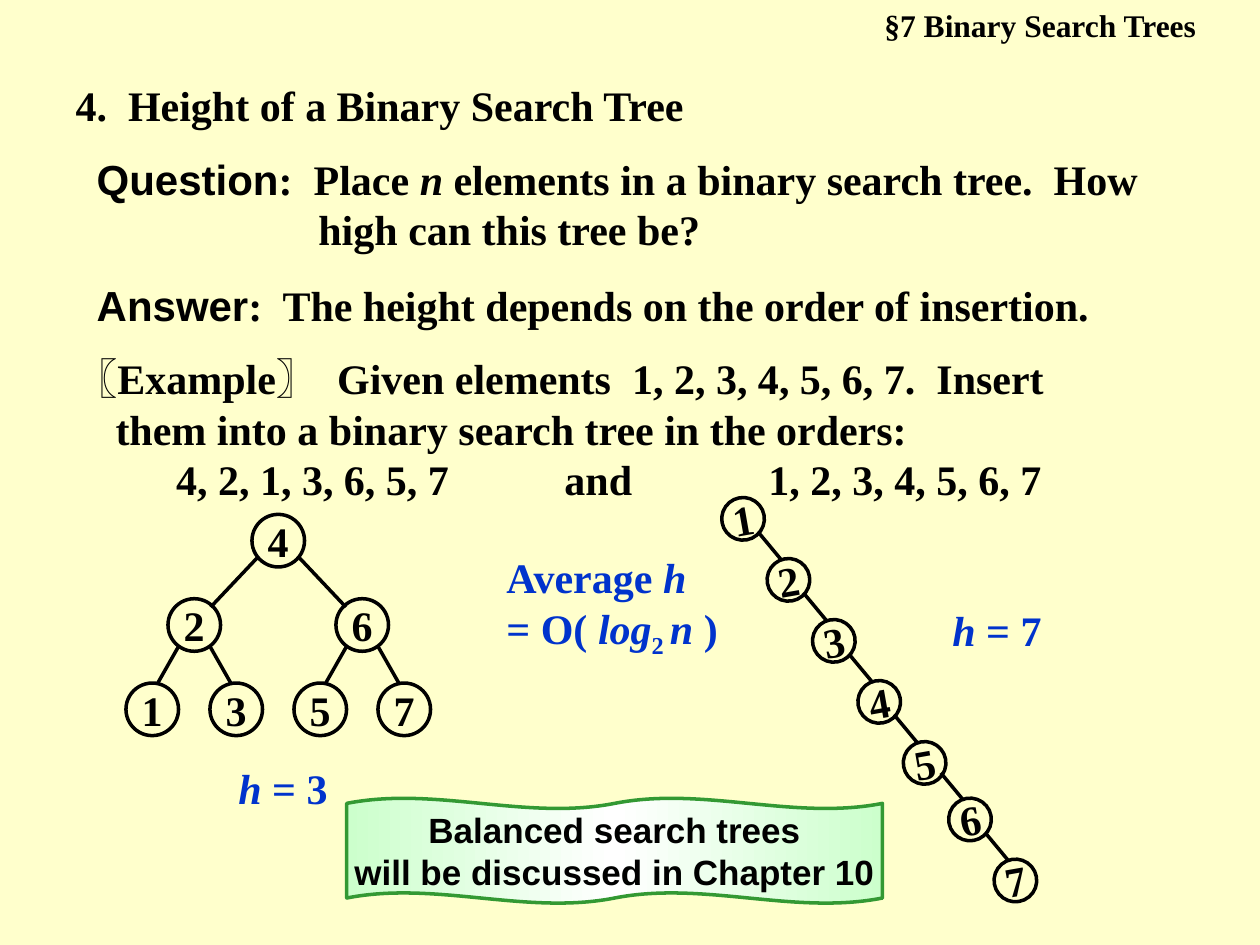
from copy import deepcopy

from lxml import etree
from pptx import Presentation
from pptx.dml.color import RGBColor
from pptx.enum.shapes import MSO_CONNECTOR, MSO_SHAPE
from pptx.enum.text import MSO_ANCHOR, MSO_AUTO_SIZE, PP_ALIGN
from pptx.oxml.ns import qn
from pptx.util import Cm, Pt

LEFT, CENTER = PP_ALIGN.LEFT, PP_ALIGN.CENTER
TOP, MIDDLE = MSO_ANCHOR.TOP, MSO_ANCHOR.MIDDLE
OVAL, WAVE = MSO_SHAPE.OVAL, MSO_SHAPE.DOUBLE_WAVE
STRAIGHT = MSO_CONNECTOR.STRAIGHT
NO_AUTOSIZE = MSO_AUTO_SIZE.NONE
SERIF, SANS = "Times New Roman", "Arial"
BLACK, BLUE, GREEN = "000000", "0033CC", "339933"
CREAM, MINT, WHITE = "FFFFCC", "CCFFCC", "FFFFFF"
LINE_WIDTH = Pt(2)

color = RGBColor.from_string

prs = Presentation()
prs.slide_width, prs.slide_height = Cm(25.4), Cm(19.05)
slide = prs.slides.add_slide(prs.slide_layouts[5])
shapes = slide.shapes
slide.background.fill.solid()
slide.background.fill.fore_color.rgb = color(CREAM)


def write(shape, paragraphs, size=24, font=SERIF, ink=BLACK, align=LEFT,
          anchor=TOP, wrap=True, hanging=0, tabs=()):
    """Fill a shape; a run is (text, marks): i italic, s subscript, a Arial."""
    frame = shape.text_frame
    frame.word_wrap = wrap
    frame.auto_size = NO_AUTOSIZE
    frame.vertical_anchor = anchor
    for number, runs in enumerate(paragraphs):
        paragraph = frame.add_paragraph() if number else frame.paragraphs[0]
        paragraph.alignment = align
        paragraph.space_before = Pt(0)
        props = paragraph._p.get_or_add_pPr()
        has_tabs = runs[0][0].startswith("\t")
        if hanging and not has_tabs:
            props.set("marL", str(Cm(hanging)))
            props.set("indent", str(-Cm(hanging)))
        if has_tabs:
            stops = etree.SubElement(props, qn("a:tabLst"))
            for stop in tabs:
                etree.SubElement(stops, qn("a:tab"), pos=str(Cm(stop)), algn="l")
        for text, marks in runs:
            run = paragraph.add_run()
            run.text = text
            run.font.size = Pt(size)
            run.font.name = SANS if "a" in marks else font
            run.font.bold = True
            run.font.italic = "i" in marks
            run.font.color.rgb = color(ink)
            if "s" in marks:
                run._r.get_or_add_rPr().set("baseline", "-25000")


def link(x1, y1, x2, y2):
    edge = shapes.add_connector(STRAIGHT, Cm(x1), Cm(y1), Cm(x2), Cm(y2))
    edge.line.color.rgb = color(BLACK)
    edge.line.width = LINE_WIDTH
    etree.SubElement(edge._element.spPr, qn("a:effectLst"))


# Heading
heading = shapes.title
heading.left, heading.top = Cm(1.27), Cm(1.48)
heading.width, heading.height = Cm(14.18), Cm(1.27)
write(heading, [[("4.  Height of a Binary Search Tree", "")]])

# Running text: left, top, width, height, paragraphs, format
question = [[("Question", "a"), (":  Place ", ""), ("n", "i"),
             (" elements in a binary search tree.  How high can this tree be?", "")]]
answer = [[("Answer", "a"), (":  The height depends on the order of insertion.", "")]]
example = [
    [("〖Example〗  Given elements  1, 2, 3, 4, 5, 6, 7.  Insert them into "
      "a binary search tree in the orders:", "")],
    [("\t4, 2, 1, 3, 6, 5, 7\tand\t1, 2, 3, 4, 5, 6, 7", "")],
]
average = [[("Average ", ""), ("h", "i")],
           [("= O( ", ""), ("log", "i"), ("2 ", "s"), ("n", "i"), (" )", "")]]
label = dict(ink=BLUE, align=CENTER)
for left, top, width, height, paragraphs, style in [
    (17.58, 0, 7.82, 1.02, [[("§7 Binary Search Trees", "")]], dict(size=18)),
    (1.7, 2.97, 22.02, 2.29, question, dict(hanging=4.47)),
    (1.7, 5.51, 22.02, 1.27, answer, dict(hanging=4.47)),
    (1.27, 6.99, 22.02, 3.3, example, dict(hanging=0.81, tabs=(2.03, 9.86, 13.97))),
    (9.96, 11, 5.28, 2.44, average, dict(ink=BLUE)),
    (3.38, 15.24, 4.65, 1.27, [[("h", "i"), (" = 3", "")]], label),
    (17.98, 12.07, 4.24, 1.27, [[("h", "i"), (" = 7", "")]], label),
]:
    box = shapes.add_textbox(Cm(left), Cm(top), Cm(width), Cm(height))
    write(box, paragraphs, **style)

# Balanced tree: key order sets the column, depth sets the row
NODE, COLUMN, ROW = 1.06, 2.54 / 3, 1.7
depth_of = {4: 0, 2: 1, 6: 1, 1: 2, 3: 2, 5: 2, 7: 2}
nodes = [(key, 2.54 + COLUMN * (key - 1), 10.37 + ROW * depth, NODE, 0)
         for key, depth in depth_of.items()]
corner = {key: (left, top) for key, left, top, _, _ in nodes}
# Per parent depth: parent dx, parent dy, child dx, child dy
edge_ends = [(0.41, 0.86, 0.33, 0.17), (0.31, 0.95, 0.11, 0)]
for parent, child in [(4, 2), (4, 6), (2, 1), (2, 3), (6, 5), (6, 7)]:
    side = 1 if child > parent else -1
    parent_dx, parent_dy, child_dx, child_dy = edge_ends[depth_of[parent]]
    (parent_x, parent_y), (child_x, child_y) = corner[parent], corner[child]
    link(parent_x + NODE / 2 + side * parent_dx, parent_y + parent_dy,
         child_x + NODE / 2 - side * child_dx, child_y + child_dy)

# Degenerate tree: one descending chain
for key in range(1, 8):
    left = 14.55 + 0.915 * (key - 1)
    top = 10.03 + 1.23 * (key - 1) - (0.09 if key > 5 else 0)
    nodes.append((key, left, top, 0.86, -10))
    if key > 1:
        end_x, end_y = left + 0.28, top + 0.02
        link(end_x - 0.44, end_y - 0.53, end_x, end_y)

# Nodes of both trees
for key, left, top, size, angle in nodes:
    node = shapes.add_shape(OVAL, Cm(left), Cm(top), Cm(size), Cm(size))
    node.rotation = angle
    node.shadow.inherit = False
    node.fill.background()
    node.line.color.rgb = color(BLACK)
    node.line.width = LINE_WIDTH
    write(node, [[(str(key), "")]], align=CENTER, anchor=MIDDLE, wrap=False)

# Banner
banner = shapes.add_shape(WAVE, Cm(6.99), Cm(16.09), Cm(10.8), Cm(2.12))
banner.adjustments[0] = 0.05
banner.shadow.inherit = False
banner.line.color.rgb = color(GREEN)
banner.line.width = LINE_WIDTH
banner.fill.gradient()
banner.fill.gradient_angle = 0
stop_list = banner._element.spPr.find(qn("a:gradFill")).find(qn("a:gsLst"))
stop_list.insert(1, deepcopy(stop_list[0]))
for stop, position, tint in zip(banner.fill.gradient_stops, (0, 0.5, 1), (MINT, WHITE, MINT)):
    stop.position = position
    stop.color.rgb = color(tint)
write(banner, [[("Balanced search trees", "")], [("will be discussed in Chapter 10", "")]],
      size=20, font=SANS, align=CENTER, anchor=MIDDLE, wrap=False)

prs.save("out.pptx")
